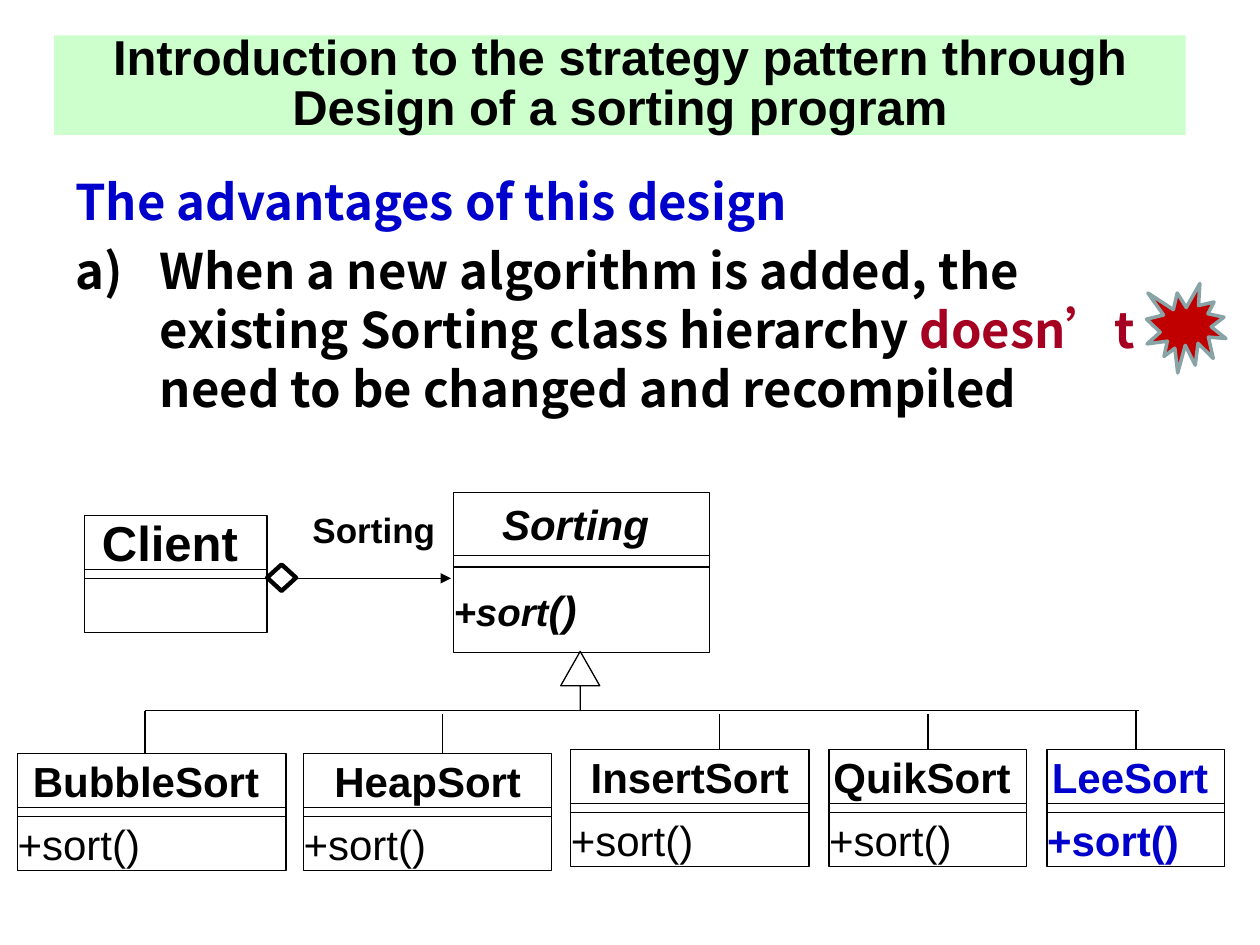
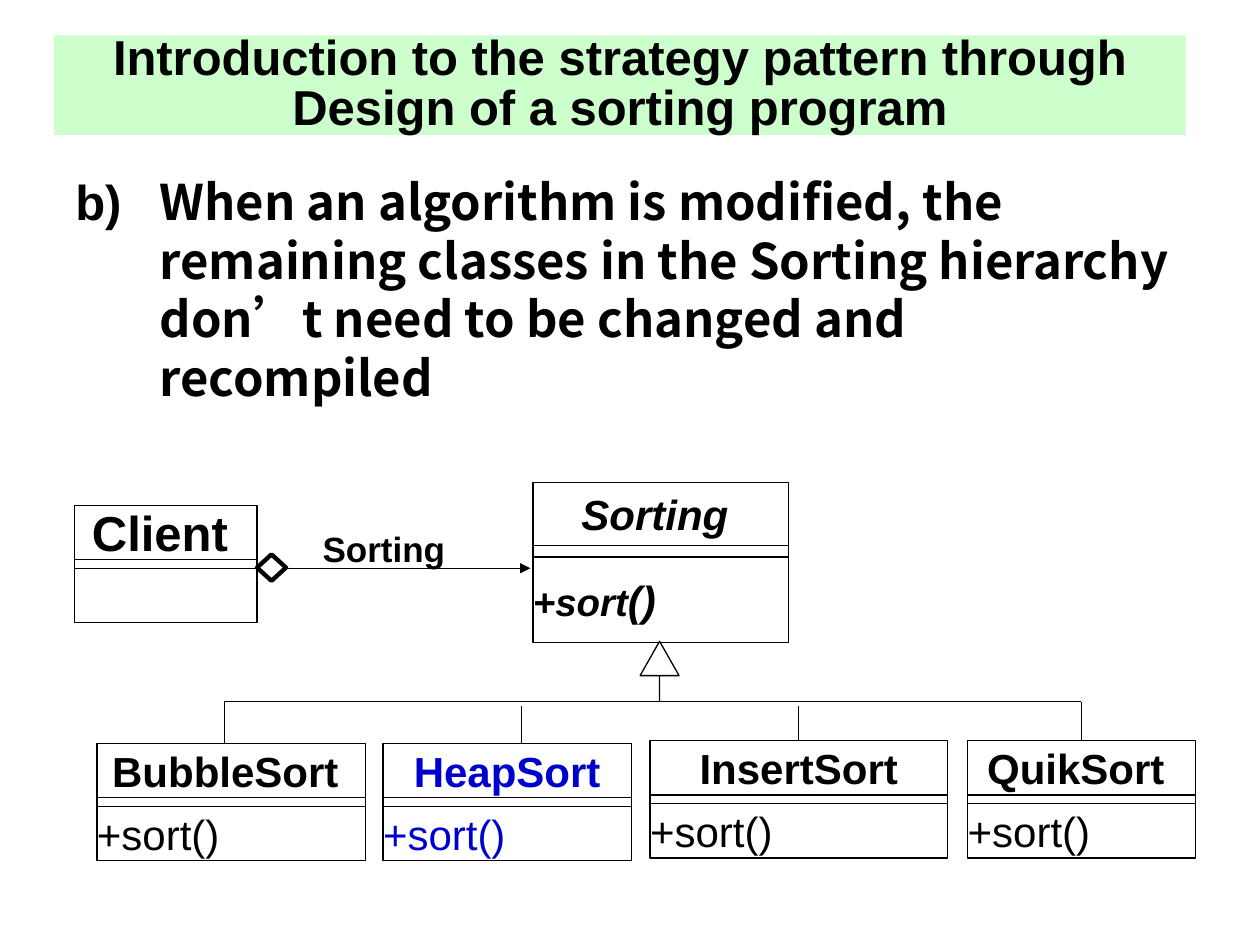
from pptx import Presentation
from pptx.dml.color import RGBColor
from pptx.enum.shapes import MSO_CONNECTOR, MSO_SHAPE
from pptx.enum.text import MSO_ANCHOR as ANCHOR, PP_ALIGN as ALIGN
from pptx.oxml.ns import qn
from pptx.util import Inches, Pt
from lxml.etree import SubElement as Sub

BLACK = RGBColor(0, 0, 0)
WHITE = RGBColor(255, 255, 255)
BLUE = RGBColor(0x00, 0x00, 0xCC)
WINE = RGBColor(0xA5, 0x00, 0x21)
MINT = RGBColor(0xCC, 0xFF, 0xCC)
RED = RGBColor(0xC0, 0x00, 0x00)
GREY = RGBColor(0x89, 0xA4, 0xA7)
SANS, NOTO = "Arial", "Noto Sans CJK SC"
TITLE = "Introduction to the strategy pattern through Design of a sorting program"


def put(slide, kind, box, fill=WHITE, edge=BLACK, width=0.75):
    """Add a shape with a plain fill and edge, and text flush with its sides."""
    shape = slide.shapes.add_shape(kind, *[Inches(n) for n in box])
    shape.shadow.inherit = False
    shape.fill.solid()
    shape.fill.fore_color.rgb = fill
    if edge is None:
        shape.line.fill.background()
    else:
        shape.line.color.rgb = edge
        shape.line.width = Pt(width)
    frame = shape.text_frame
    frame.margin_left = frame.margin_right = 0
    frame.margin_top = frame.margin_bottom = 0
    frame.vertical_anchor = ANCHOR.MIDDLE
    frame.word_wrap = False
    frame.paragraphs[0].alignment = ALIGN.LEFT
    return shape


def write(par, text, size, color=BLACK, bold=True, italic=False, face=SANS):
    """Add one run to a paragraph."""
    run = par.add_run()
    run.text = text
    font = run.font
    font.name, font.size, font.bold, font.italic = face, Pt(size), bold, italic
    font.color.rgb = color


# Body paragraphs: (number bullet, runs of text, colour, face)
# Leaf classes: (name, left, top, width, stem x, colour, bold method)
PAGES = [
    dict(
        body=[
            (False, [("The advantages of this design", BLUE, NOTO)]),
            (True, [
                ("When a new algorithm is added, the existing Sorting class hierarchy ", BLACK, NOTO),
                ("doesn’t", WINE, NOTO),
                (" need to be changed and recompiled", BLACK, NOTO),
            ]),
        ],
        client=(0.67, 4.09), base=(3.6, 3.91), label=(2.48, 3.99), bus=5.64,
        leaves=[
            ("BubbleSort ", 0.14, 5.98, 2.13, 1.15, BLACK, False),
            ("HeapSort", 2.41, 5.98, 1.97, 3.51, BLACK, False),
            ("InsertSort", 4.53, 5.95, 1.89, 5.71, BLACK, False),
            ("QuikSort ", 6.58, 5.95, 1.57, 7.36, BLACK, False),
            ("LeeSort ", 8.31, 5.95, 1.41, 9.03, BLUE, True),
        ],
        burst=(9.1, 2.25, 0.63, 0.71),
    ),
    dict(
        body=[
            (False, [
                ("b)\t", BLACK, SANS),
                ("When an algorithm is modified, the remaining classes in the Sorting "
                 "hierarchy don’t need to be changed and recompiled", BLACK, NOTO),
            ]),
        ],
        client=(0.59, 4.01), base=(4.23, 3.83), label=(2.56, 4.14), bus=5.57,
        leaves=[
            ("BubbleSort ", 0.77, 5.9, 2.13, 1.78, BLACK, False),
            ("HeapSort", 3.04, 5.9, 1.97, 4.14, BLUE, False),
            ("InsertSort", 5.16, 5.88, 2.36, 6.34, BLACK, False),
            ("QuikSort ", 7.68, 5.88, 1.81, 8.57, BLACK, False),
        ],
        burst=None,
    ),
]

deck = Presentation()
deck.slide_width, deck.slide_height = Inches(10), Inches(7.5)

for page in PAGES:
    slide = deck.slides.add_slide(deck.slide_layouts[6])

    # Title band
    frame = put(slide, MSO_SHAPE.RECTANGLE, (0.43, 0.28, 8.98, 0.79), MINT, None).text_frame
    frame.word_wrap = True
    frame.margin_left = frame.margin_right = Inches(0.1)
    par = frame.paragraphs[0]
    par.alignment = ALIGN.CENTER
    par.line_spacing = 0.85
    write(par, TITLE, 28)

    # Body text with a hanging indent
    frame = slide.shapes.add_textbox(Inches(0.5), Inches(1.31), Inches(9), Inches(2.2)).text_frame
    frame.word_wrap = True
    for i, (numbered, runs) in enumerate(page["body"]):
        par = frame.add_paragraph() if i else frame.paragraphs[0]
        props = par._p.get_or_add_pPr()
        props.set("marL", str(Inches(0.67)))
        props.set("indent", str(-Inches(0.67)))
        if i:
            par.space_before = Pt(6)
        if numbered:
            tint = Sub(props, qn("a:buClr"))
            Sub(tint, qn("a:srgbClr"), val=str(BLACK))
            Sub(props, qn("a:buFont"), typeface=NOTO)
            Sub(props, qn("a:buAutoNum"), type="alphaLcParenR")
        for text, color, face in runs:
            write(par, text, 28, color, face=face)

    # Class boxes: name, thin attribute row, methods
    cx, cy = page["client"]
    bx, by = page["base"]
    small = (0.43, 0.07, 0.43)
    classes = [
        (cx, cy, 1.45, small, [("Client", 28, BLACK, True), (" ", 24, BLACK, True)], []),
        (bx, by, 2.03, (0.5, 0.09, 0.68), [("Sorting ", 24, BLACK, True, True)],
         [("+sort", 22, BLACK, True, True), ("()", 24, BLACK, True, True)]),
    ]
    for name, x, y, w, stem, color, bold in page["leaves"]:
        classes.append((x, y, w, small, [(name, 24, color, True)], [("+sort()", 24, color, bold)]))
    heads = []
    for x, y, w, rows, name, method in classes:
        for row, (h, runs) in enumerate(zip(rows, (name, [], method))):
            cell = put(slide, MSO_SHAPE.RECTANGLE, (x, y, w, h))
            y += h
            par = cell.text_frame.paragraphs[0]
            if row == 0:
                heads.append(cell)
                par.alignment = ALIGN.CENTER
            for run in runs:
                write(par, *run)

    # Aggregation diamond, its label and the inheritance arrow
    put(slide, MSO_SHAPE.DIAMOND, (cx + 1.45, cy + 0.39, 0.23, 0.21), width=2.5)
    frame = put(slide, MSO_SHAPE.RECTANGLE, (*page["label"], 1.02, 0.44), edge=None).text_frame
    frame.word_wrap = True
    frame.vertical_anchor = ANCHOR.TOP
    frame.margin_top = frame.margin_bottom = Inches(0.05)
    write(frame.paragraphs[0], "Sorting", 20)
    arrow = put(slide, MSO_SHAPE.UP_ARROW, (bx + 0.85, by + 1.26, 0.31, 0.47))
    arrow.adjustments[0], arrow.adjustments[1] = 0, 0.88

    # Lines: (from x, from y, to x, to y, box joined at its top, arrowhead)
    bus, leaves = page["bus"], page["leaves"]
    first, last = leaves[0][4], leaves[-1][4]
    lines = [
        (cx + 1.65, cy + 0.5, bx - 0.02, cy + 0.5, None, True),
        (first, bus, last + 0.01, bus, None, False),
    ]
    for head, (name, x, y, w, stem, *rest) in zip(heads[2:], leaves):
        start = bus if stem in (first, last) else bus + 0.03
        joined = head if abs(x + w / 2 - stem) < 0.03 else None
        lines.append((stem, start, stem, y, joined, False))
    for x1, y1, x2, y2, joined, pointed in lines:
        if joined is not None:
            x1 = (joined.left + joined.width / 2) / Inches(1)
        link = slide.shapes.add_connector(
            MSO_CONNECTOR.STRAIGHT, Inches(x1), Inches(y1), Inches(x2), Inches(y2))
        link.line.color.rgb = BLACK
        link.line.width = Pt(0.75)
        if joined is not None:
            link.end_connect(joined, 0)
        if pointed:
            Sub(link.line._get_or_add_ln(), qn("a:tailEnd"), type="triangle")
        Sub(link._element.spPr, qn("a:effectLst"))

    if page["burst"]:
        put(slide, MSO_SHAPE.EXPLOSION1, page["burst"], RED, GREY, 2)

deck.save("out.pptx")
